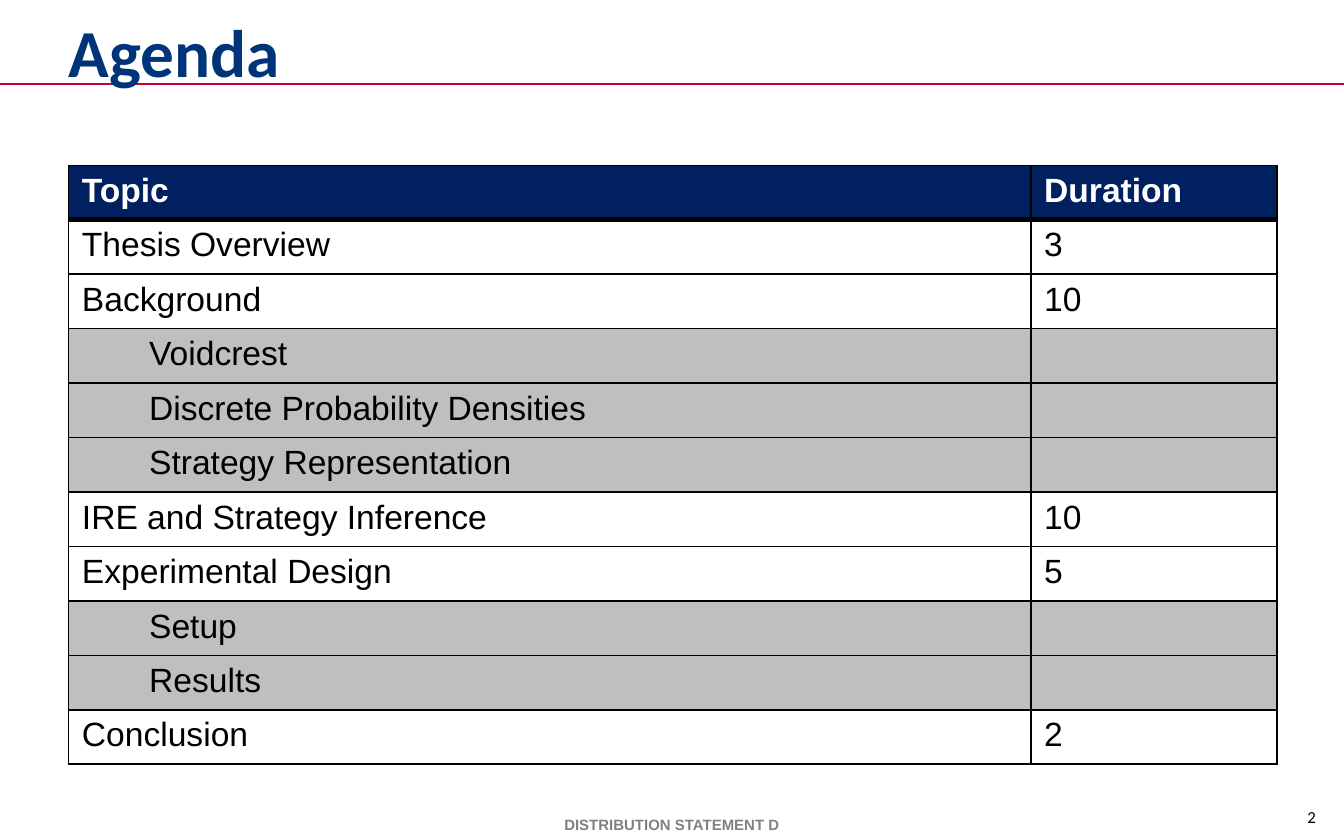
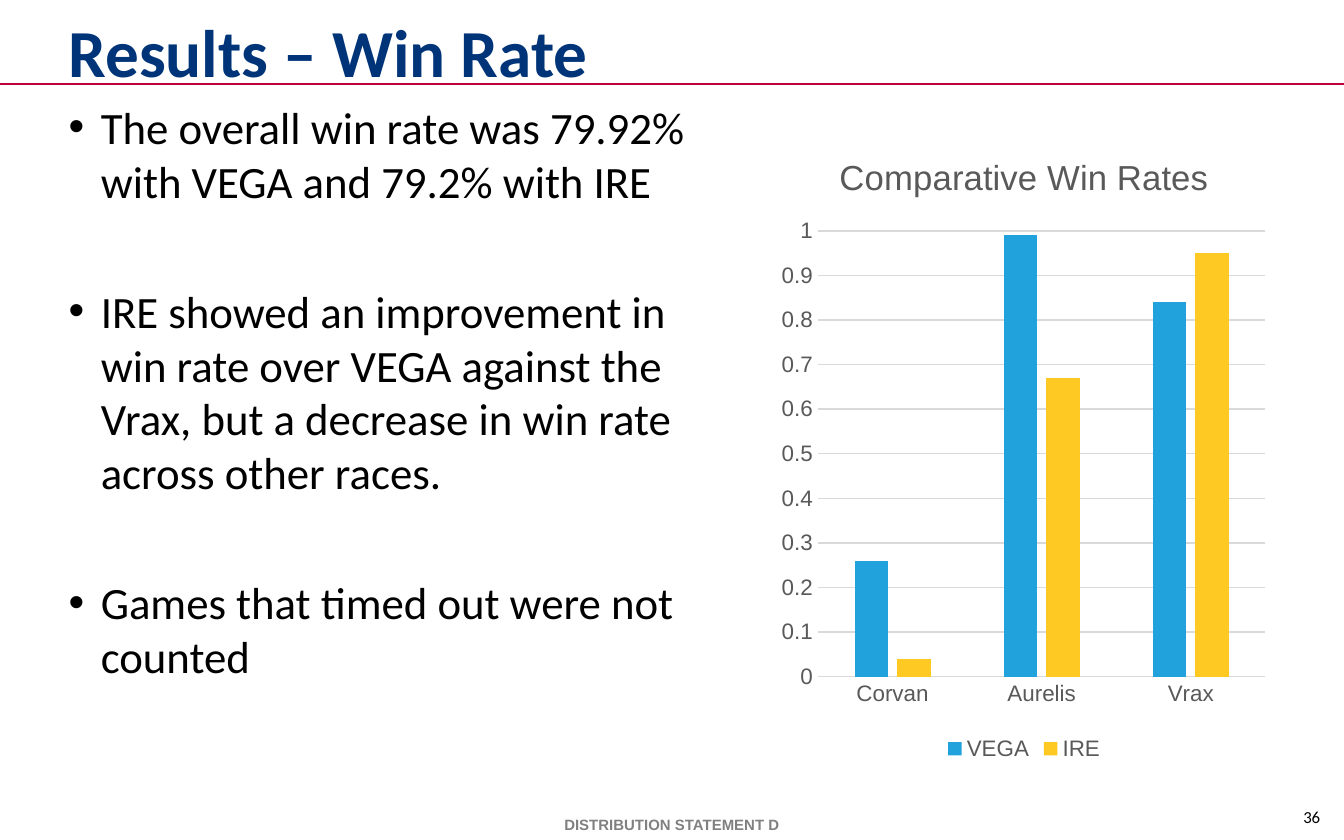
from dataclasses import dataclass
from typing import Any, NamedTuple

from lxml import etree
from pptx import Presentation
from pptx import util as u
from pptx.chart.data import CategoryChartData
from pptx.dml.color import RGBColor
from pptx.enum import chart as ch, shapes, text
from pptx.oxml import parse_xml
from pptx.oxml.ns import nsdecls, qn

NAVY, CRIMSON, GRAY, BLACK, WHITE = "003478", "BF0039", "808080", "000000", "FFFFFF"
HEADER, SUBTOPIC = "002060", "BFBFBF"
BLUE, YELLOW, LABEL, GRID = "21A2DC", "FDC922", "595959", "D9D9D9"
SLIDE_W, SLIDE_H = u.Inches(10), u.Inches(6.25)


class Box(NamedTuple):
    """Left, top, width and height in percent of the slide."""
    x: float
    y: float
    w: float
    h: float

    def emu(self) -> tuple[int, ...]:
        sizes = (SLIDE_W, SLIDE_H, SLIDE_W, SLIDE_H)
        return tuple(round(share * size / 100) for share, size in zip(self, sizes))


@dataclass
class Label:
    box: Box
    font: dict[str, Any]
    color: str
    align: Any = text.PP_ALIGN.LEFT
    anchor: Any = text.MSO_ANCHOR.TOP


class Topic(NamedTuple):
    name: str
    minutes: str = ""
    level: int = 0


class Series(NamedTuple):
    name: str
    values: tuple[float, ...]
    color: str


# Shared styles
TITLE = Label(Box(5.1, 2.24, 90.1, 7.68), dict(size=u.Pt(36), name="Calibri", bold=True),
              NAVY, anchor=text.MSO_ANCHOR.MIDDLE)
NUMBER = Label(Box(95.2, 96, 4.8, 3.36), dict(size=u.Pt(9), name="Calibri"),
               BLACK, text.PP_ALIGN.CENTER)
FOOTER = Label(Box(0, 96.32, 100, 3.68), dict(size=u.Pt(8), name="Arial", bold=True),
               GRAY, text.PP_ALIGN.CENTER, text.MSO_ANCHOR.MIDDLE)
BODY = Label(Box(5.1, 11.84, 49.9, 77.76), dict(size=u.Pt(24), name="Calibri"), BLACK)
RULE = Box(0, 10, 100, 0)
TABLE = Box(5.1, 19.68, 89.9, 71.36)
COLUMNS = (71.6, 18.3)
CHART = Box(57.5, 15.36, 37.4, 75.84)

# Content
TOPICS = [
    Topic("Thesis Overview", "3"),
    Topic("Background", "10"),
    Topic("Voidcrest", level=1),
    Topic("Discrete Probability Densities", level=1),
    Topic("Strategy Representation", level=1),
    Topic("IRE and Strategy Inference", "10"),
    Topic("Experimental Design", "5"),
    Topic("Setup", level=1),
    Topic("Results", level=1),
    Topic("Conclusion", "2"),
]
FINDINGS = [
    "The overall win rate was 79.92% with VEGA and 79.2% with IRE",
    "IRE showed an improvement in win rate over VEGA against the Vrax, "
    "but a decrease in win rate across other races.",
    "Games that timed out were not counted",
]
RACES = ("Corvan", "Aurelis", "Vrax")
WIN_RATES = [Series("VEGA", (0.26, 0.99, 0.84), BLUE),
             Series("IRE", (0.04, 0.67, 0.95), YELLOW)]


def rgb(value: str) -> RGBColor:
    return RGBColor.from_string(value)


def assign(target: Any, values: dict[str, Any]) -> None:
    for name, value in values.items():
        setattr(target, name, value)


def style(font: Any, values: dict[str, Any], color: str) -> None:
    assign(font, values)
    font.color.rgb = rgb(color)


def paint(fill: Any, color: str) -> None:
    fill.solid()
    fill.fore_color.rgb = rgb(color)


def add_run(p: Any, value: str, font: dict[str, Any], color: str) -> None:
    r = p.add_run()
    r.text = value
    style(r.font, font, color)


def add_label(s: Any, label: Label, *lines: str) -> Any:
    tf = s.shapes.add_textbox(*label.box.emu()).text_frame
    assign(tf, dict(word_wrap=True, vertical_anchor=label.anchor, margin_left=0,
                    margin_right=0, margin_top=0, margin_bottom=0))
    for i, line in enumerate(lines):
        p = tf.paragraphs[0] if i == 0 else tf.add_paragraph()
        p.alignment = label.align
        add_run(p, line, label.font, label.color)
    return tf


def add_base(prs: Any, title: str, number: int) -> Any:
    """Add a blank slide with the number, footer, rule and title."""
    s = prs.slides.add_slide(prs.slide_layouts[6])
    add_label(s, NUMBER, str(number))
    add_label(s, FOOTER, "DISTRIBUTION STATEMENT D")
    x, y, w, h = RULE.emu()
    rule = s.shapes.add_connector(shapes.MSO_CONNECTOR.STRAIGHT, x, y, x + w, y + h)
    rule.line.width = u.Pt(1)
    rule.line.color.rgb = rgb(CRIMSON)
    etree.SubElement(rule._element.spPr, qn("a:effectLst"))
    add_label(s, TITLE, title)
    return s


# Agenda table
def add_borders(cell: Any, top: float, bottom: float) -> None:
    tc_pr = cell._tc.get_or_add_tcPr()
    for side, width in zip("LRTB", (1, 1, top, bottom)):
        tc_pr.append(parse_xml(
            f'<a:ln{side} {nsdecls("a")} w="{u.Pt(width)}"><a:solidFill>'
            f'<a:srgbClr val="{BLACK}"/></a:solidFill></a:ln{side}>'))


def add_agenda(s: Any, topics: list[Topic]) -> None:
    rows = [Topic("Topic", "Duration"), *topics]
    x, y, w, h = TABLE.emu()
    table = s.shapes.add_table(len(rows), len(COLUMNS), x, y, w, h).table
    for column, share in zip(table.columns, COLUMNS):
        column.width = round(SLIDE_W * share / 100)
    for i, topic in enumerate(rows):
        table.rows[i].height = h // len(rows)
        fill = HEADER if i == 0 else SUBTOPIC if topic.level else WHITE
        font = dict(size=u.Pt(18), name="Arial", bold=i == 0)
        for j, value in enumerate((topic.name, topic.minutes)):
            cell = table.cell(i, j)
            add_borders(cell, top=3 if i == 1 else 1, bottom=3 if i == 0 else 1)
            paint(cell.fill, fill)
            p = cell.text_frame.paragraphs[0]
            if value:
                add_run(p, value, font, WHITE if i == 0 else BLACK)
            if topic.level and j == 0:
                p.level = topic.level
                p._p.get_or_add_pPr().set("marL", str(u.Inches(0.5)))


# Findings and win rate chart
def add_bullets(s: Any, lines: list[str]) -> None:
    tf = add_label(s, BODY, *lines)
    for i, p in enumerate(tf.paragraphs):
        p.space_before = u.Pt(41 if i else 6)
        p_pr = p._p.get_or_add_pPr()
        p_pr.set("marL", str(u.Inches(0.24)))
        p_pr.set("indent", str(u.Inches(-0.24)))
        for tag, key, value in (("a:buFont", "typeface", "Arial"), ("a:buChar", "char", "•")):
            etree.SubElement(p_pr, qn(tag)).set(key, value)


def place(parent: Any, index: int, **shares: float) -> None:
    """Fix the place of a chart part, in shares of the chart."""
    for old in parent.findall(qn("c:layout")):
        parent.remove(old)
    target = '<c:layoutTarget val="inner"/>' if "w" in shares else ""
    modes = "".join(f'<c:{key}Mode val="edge"/>' for key in "xy")
    values = "".join(f'<c:{key} val="{value}"/>' for key, value in shares.items())
    parent.insert(index, parse_xml(
        f'<c:layout {nsdecls("c")}><c:manualLayout>{target}{modes}{values}'
        '</c:manualLayout></c:layout>'))


def add_win_rates(s: Any, series: list[Series]) -> None:
    data = CategoryChartData()
    data.categories = RACES
    for item in series:
        data.add_series(item.name, item.values)
    chart = s.shapes.add_chart(ch.XL_CHART_TYPE.COLUMN_CLUSTERED, *CHART.emu(), data).chart
    small = dict(size=u.Pt(12), name="Arial")
    style(chart.font, dict(size=u.Pt(10), name="Arial"), BLACK)

    add_run(chart.chart_title.text_frame.paragraphs[0], "Comparative Win Rates",
            dict(size=u.Pt(18.6), name="Arial", bold=False), LABEL)
    chart.chart_title.include_in_layout = False
    place(chart.chart_title._element, 1, x=0.12, y=0.03)
    place(chart._chartSpace.chart.plotArea, 0, x=0.09, y=0.16, w=0.89, h=0.7)

    plot = chart.plots[0]
    assign(plot, dict(gap_width=219, overlap=-27, vary_by_categories=False))
    for bars, item in zip(plot.series, series):
        paint(bars.format.fill, item.color)

    for axis in (chart.category_axis, chart.value_axis):
        assign(axis, dict(major_tick_mark=ch.XL_TICK_MARK.NONE,
                          minor_tick_mark=ch.XL_TICK_MARK.NONE))
        style(axis.tick_labels.font, small, LABEL)
    assign(chart.value_axis, dict(minimum_scale=0, maximum_scale=1, major_unit=0.1))
    chart.value_axis.format.line.fill.background()
    for part in (chart.category_axis, chart.value_axis.major_gridlines):
        part.format.line.width = u.Pt(0.75)
        part.format.line.color.rgb = rgb(GRID)

    chart.has_legend = True
    assign(chart.legend, dict(position=ch.XL_LEGEND_POSITION.BOTTOM, include_in_layout=False))
    style(chart.legend.font, small, LABEL)


def main() -> None:
    prs = Presentation()
    assign(prs, dict(slide_width=SLIDE_W, slide_height=SLIDE_H))
    add_agenda(add_base(prs, "Agenda", 2), TOPICS)
    s = add_base(prs, "Results – Win Rate", 36)
    add_bullets(s, FINDINGS)
    add_win_rates(s, WIN_RATES)
    prs.save("out.pptx")


if __name__ == "__main__":
    main()
